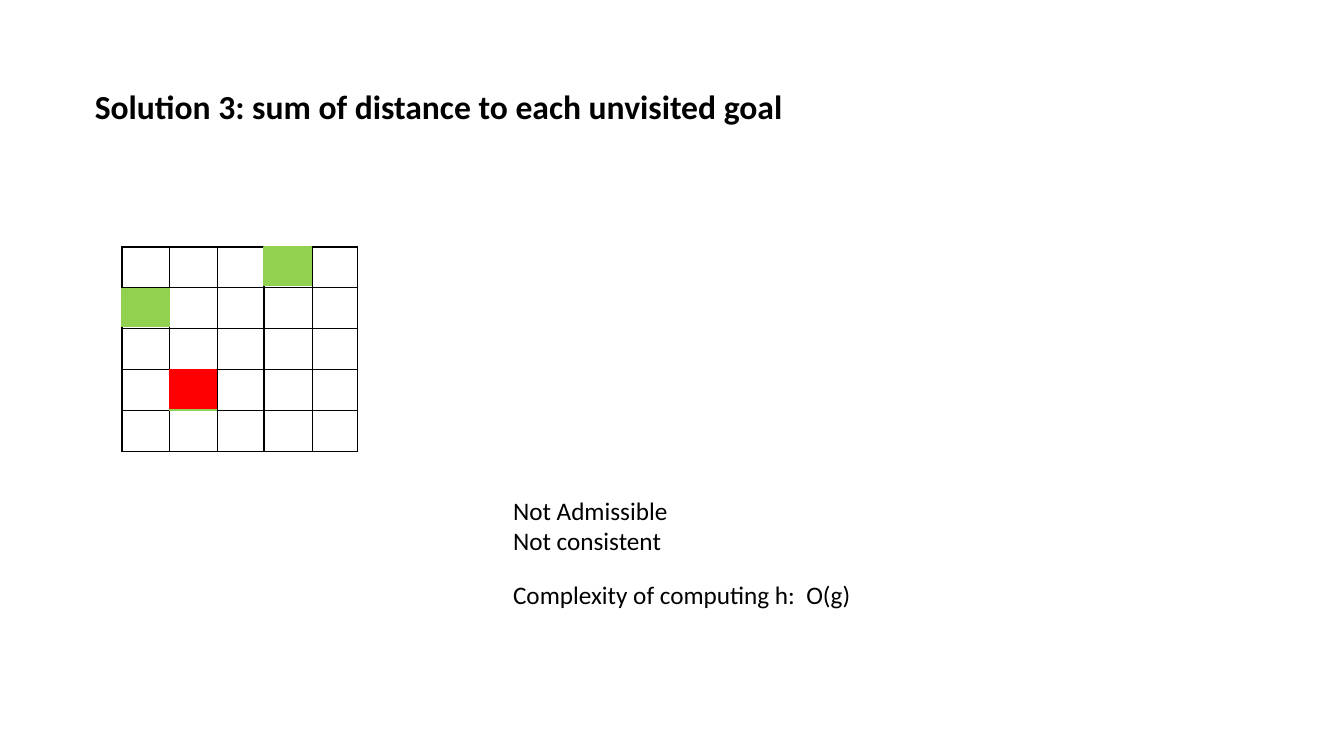
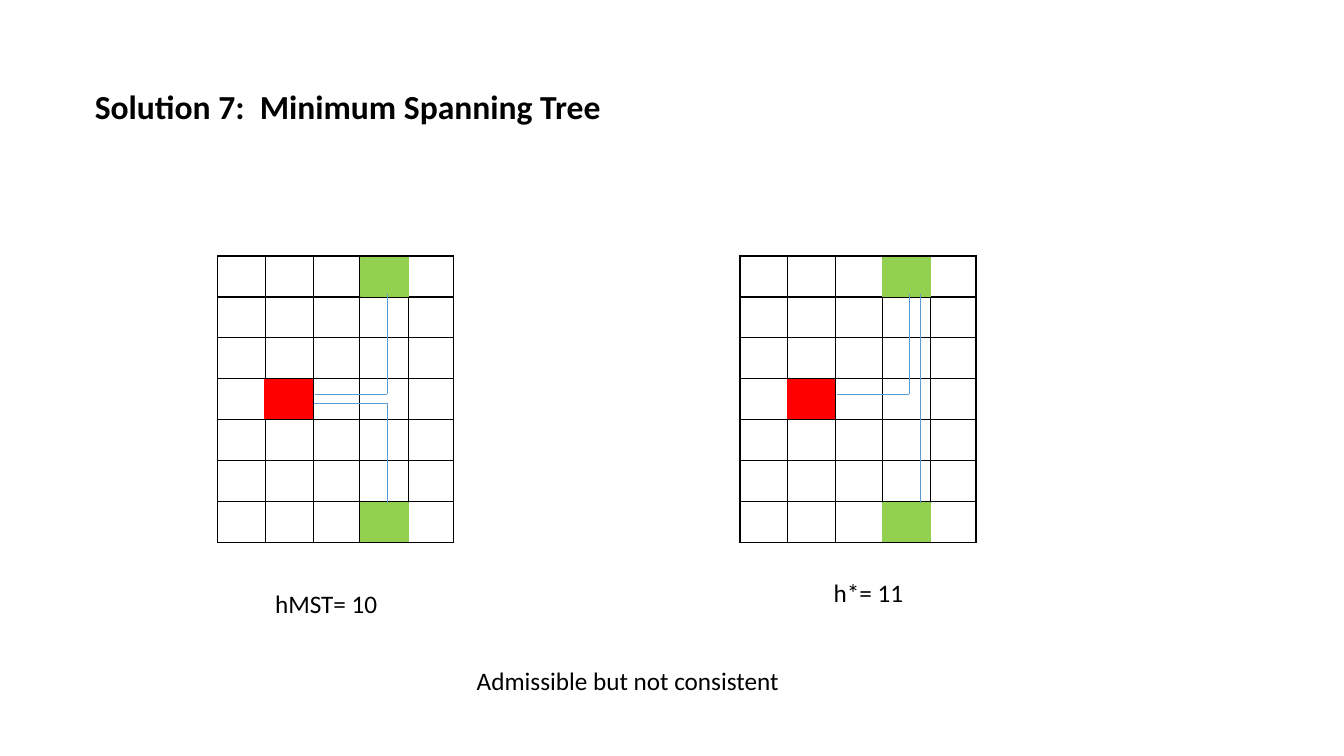
import pptx
import pptx.util
import pptx.dml.color
import pptx.enum.shapes
import pptx.enum.text
import pptx.oxml
import pptx.oxml.ns

Inches = pptx.util.Inches
Pt = pptx.util.Pt
RGBColor = pptx.dml.color.RGBColor

BLACK = RGBColor(0x00, 0x00, 0x00)
GREEN = RGBColor(0x92, 0xD0, 0x50)
RED = RGBColor(0xFF, 0x00, 0x00)
BLUE = RGBColor(0x5B, 0x9B, 0xD5)
FONT = "Calibri"
WIDTHS = [0.47, 0.48, 0.46, 0.48, 0.45]
BORDER = ('<a:{} %s w="12700"><a:solidFill><a:srgbClr val="{}"/></a:solidFill></a:{}>'
          % pptx.oxml.ns.nsdecls("a"))


def add_text(slide, left, top, width, height, lines):
    box = slide.shapes.add_textbox(Inches(left), Inches(top), Inches(width), Inches(height))
    box.text_frame.word_wrap = True
    box.text_frame.text = "\n".join(lines)
    for para in box.text_frame.paragraphs:
        para.font.name = FONT
        para.font.size = Pt(18)
        para.font.color.rgb = BLACK


def add_grid(slide, left, top, rows, height, squares, routes=()):
    """Draw a maze; squares and routes are measured from its top left corner."""
    frame = slide.shapes.add_table(rows, len(WIDTHS), Inches(left), Inches(top),
                                   Inches(sum(WIDTHS)), Inches(height))
    table = frame.table
    table.first_row = table.horz_banding = False
    for col, width in zip(table.columns, WIDTHS):
        col.width = Inches(width)
    for row in table.rows:
        row.height = Inches(height / rows)
    for cell in table.iter_cells():
        props = cell._tc.get_or_add_tcPr()
        for side in ("lnL", "lnR", "lnT", "lnB"):
            props.append(pptx.oxml.parse_xml(BORDER.format(side, BLACK, side)))
        cell.fill.background()

    # Goals and start
    for x, y, color in squares:
        square = slide.shapes.add_shape(pptx.enum.shapes.MSO_SHAPE.RECTANGLE, Inches(left + x),
                                        Inches(top + y), Inches(0.47), Inches(0.38))
        square.shadow.inherit = False
        square.fill.solid()
        square.fill.fore_color.rgb = color
        square.line.color.rgb = color
        square.line.width = Pt(1)

    # Paths between them
    for x1, y1, x2, y2 in routes:
        line = slide.shapes.add_connector(pptx.enum.shapes.MSO_CONNECTOR.STRAIGHT,
                                          Inches(left + x1), Inches(top + y1),
                                          Inches(left + x2), Inches(top + y2))
        line.line.color.rgb = BLUE
        line.line.width = Pt(0.5)
        line._element.spPr.append(pptx.oxml.parse_xml(
            "<a:effectLst %s/>" % pptx.oxml.ns.nsdecls("a")))


prs = pptx.Presentation()
prs.slide_width = Inches(13.33)
prs.slide_height = Inches(7.5)

# Slides with their titles
slides = []
for text, width in [("Solution 3: sum of distance to each unvisited goal", 9.56),
                    ("Solution 7:  Minimum Spanning Tree", 6.89)]:
    slide = prs.slides.add_slide(prs.slide_layouts[5])
    title = slide.shapes.title
    title.left, title.top = Inches(0.84), Inches(0.8)
    title.width, title.height = Inches(width), Inches(0.5)
    title.text_frame.text = text
    title.text_frame.auto_size = pptx.enum.text.MSO_AUTO_SIZE.NONE
    para = title.text_frame.paragraphs[0]
    para.alignment = pptx.enum.text.PP_ALIGN.LEFT
    para.font.name = FONT
    para.font.size = Pt(24)
    para.font.bold = True
    para.font.color.rgb = BLACK
    slides.append(slide)
first, second = slides

# Solution 3: one maze and its verdict
add_grid(first, 1.21, 2.45, 5, 2.03,
         [(0, 0.41, GREEN), (0.47, 1.24, GREEN), (1.41, 0, GREEN), (0.47, 1.22, RED)])
add_text(first, 4.99, 4.86, 5.89, 0.71, ["Not Admissible", "Not consistent"])
add_text(first, 4.99, 5.7, 4.19, 0.4, ["Complexity of computing h:  O(g)"])

# Solution 7: spanning tree beside the best path
squares = [(0.47, 1.23, RED), (1.42, 2.45, GREEN), (1.42, 0.02, GREEN)]
shared = [(0.96, 1.37, 1.68, 1.37), (1.68, 0.38, 1.68, 1.37)]
tree = shared + [(0.95, 1.46, 1.68, 1.46), (1.68, 1.46, 1.68, 2.45)]
best = shared + [(1.79, 0.38, 1.79, 2.45)]
for left, routes in [(2.16, tree), (7.34, best)]:
    add_grid(second, left, 2.54, 7, 2.84, squares, routes)
add_text(second, 2.63, 5.79, 1.42, 0.4, ["hMST= 10"])
add_text(second, 8.17, 5.68, 1.2, 0.4, ["h*= 11"])
add_text(second, 4.63, 6.55, 3.68, 0.4, ["Admissible but not consistent"])

prs.save("out.pptx")
